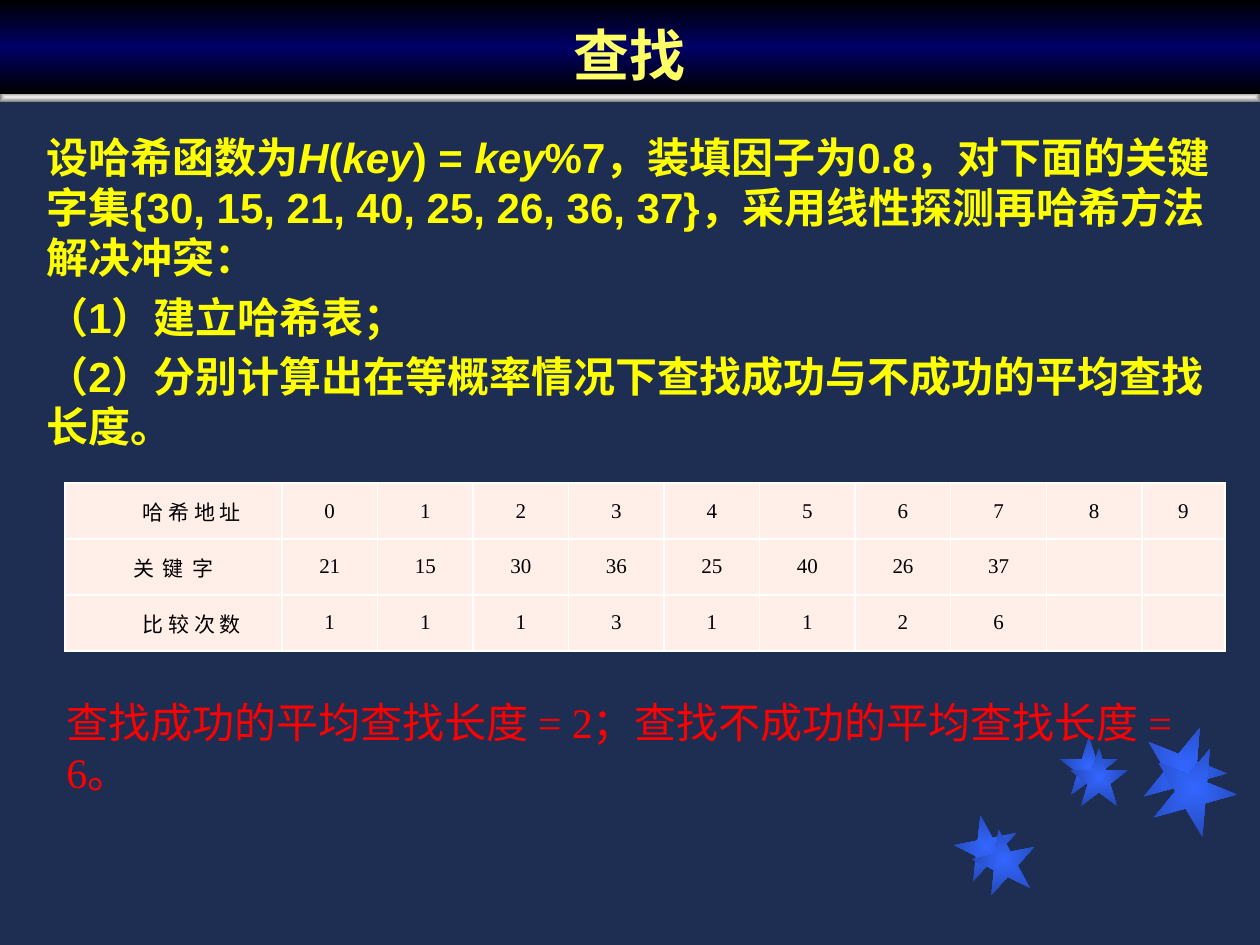
from lxml.etree import SubElement
from pptx import Presentation
from pptx.dml.color import RGBColor
from pptx.enum.shapes import MSO_SHAPE as Shape
from pptx.enum.text import MSO_ANCHOR as Anchor, PP_ALIGN as Align
from pptx.oxml.ns import qn
from pptx.util import Emu, Pt

CJK = "Noto Sans CJK SC"
SERIF = "Times New Roman"
STAR_STOPS = [(0, "3366FF"), (100, "2449B6")]
BAR_STOPS = [(0, "EDEDED"), (100, "808080")]
TITLE_STOPS = [(0, "000000"), (50, "000066"), (100, "000000")]


def px(length):
    return Emu(round(length * 914400 / 126))


def color(code):
    return RGBColor.from_string(code)


def add_run(paragraph, text, font, size, code, bold=False, italic=False):
    run = paragraph.add_run()
    run.text = text
    run.font.name = font
    run.font.size = Pt(size)
    run.font.bold = bold
    run.font.italic = italic
    run.font.color.rgb = color(code)
    SubElement(run.font._element, qn("a:ea"), typeface=CJK)
    return run


def add_gradient_shape(shapes, kind, box, stops, angle=None):
    shape = shapes.add_shape(kind, *map(px, box))
    shape.shadow.inherit = False
    shape.line.fill.background()
    geometry = shape._element.spPr.find(qn("a:prstGeom"))
    gradient = SubElement(shape._element.spPr, qn("a:gradFill"), rotWithShape="1")
    geometry.addnext(gradient)
    stop_list = SubElement(gradient, qn("a:gsLst"))
    for position, code in stops:
        stop = SubElement(stop_list, qn("a:gs"), pos=str(position * 1000))
        SubElement(stop, qn("a:srgbClr"), val=code)
    if angle is None:
        spread = SubElement(gradient, qn("a:path"), path="rect")
        SubElement(spread, qn("a:fillToRect"), l="50000", t="50000", r="50000", b="50000")
    else:
        SubElement(gradient, qn("a:lin"), ang=str(angle * 60000), scaled="0")
    return shape


def add_text_box(slide, box):
    frame = slide.shapes.add_textbox(*map(px, box)).text_frame
    frame.word_wrap = True
    return frame


def add_stars(slide, left, top):
    stars = slide.shapes.add_group_shape().shapes
    pairs = [(0, 90, 63, -11, 18, 14), (105, 12, 58, 0, 10, 11), (187, 0, 84, 22, 10, 21)]
    for layer in (0, 1):
        for x, y, size, turn, dx, dy in pairs:
            box = (left + x + layer * dx, top + y + layer * dy, size, size)
            star = add_gradient_shape(stars, Shape.STAR_5_POINT, box, STAR_STOPS)
            star.rotation = turn


def add_header(slide, left, top, width, height):
    bar_box = (left, top + height - 2, width, 10)
    add_gradient_shape(slide.shapes, Shape.RECTANGLE, bar_box, BAR_STOPS)
    banner = add_gradient_shape(
        slide.shapes, Shape.RECTANGLE, (left, top, width, height), TITLE_STOPS, 90
    )
    frame = banner.text_frame
    frame.vertical_anchor = Anchor.BOTTOM
    heading = frame.paragraphs[0]
    heading.alignment = Align.CENTER
    add_run(heading, "查找", CJK, 32, "FFFF66", bold=True)


def add_question(slide, box):
    formula = [
        ("设哈希函数为", False),
        ("H", True),
        ("(", False),
        ("key", True),
        (") = ", False),
        ("key", True),
        ("%7，装填因子为0.8，对下面的关键字集{30, 15, 21, 40, 25, 26, 36, 37}，"
         "采用线性探测再哈希方法解决冲突：", False),
    ]
    tasks = ["（1）建立哈希表；", "（2）分别计算出在等概率情况下查找成功与不成功的平均查找长度。"]
    frame = add_text_box(slide, box)
    for index, parts in enumerate([formula] + [[(task, False)] for task in tasks]):
        paragraph = frame.add_paragraph() if index else frame.paragraphs[0]
        paragraph.space_before = Pt(5)
        for text, italic in parts:
            add_run(paragraph, text, "Arial", 24, "FFFF00", bold=True, italic=italic)


def add_borders(cell):
    properties = cell._tc.get_or_add_tcPr()
    for index, side in enumerate(("a:lnL", "a:lnR", "a:lnT", "a:lnB")):
        line = SubElement(properties, qn(side), w=str(Pt(1)))
        properties.insert(index, line)
        fill = SubElement(line, qn("a:solidFill"))
        SubElement(fill, qn("a:srgbClr"), val="FFFFFF")


def add_hash_table(slide, left, top, width, height):
    rows = [
        ("哈 希 地 址", 37, 0, range(10)),
        ("关 键 字", 0, 110, [21, 15, 30, 36, 25, 40, 26, 37]),
        ("比 较 次 数", 37, 0, [1, 1, 1, 3, 1, 1, 2, 6]),
    ]
    label_width, last_width = 217, 83
    middle_width = (width - label_width - last_width) / 9
    box = map(px, (left, top, width, height))
    table = slide.shapes.add_table(len(rows), 11, *box).table
    for column, size in zip(table.columns, [label_width] + [middle_width] * 9 + [last_width]):
        column.width = px(size)
    for r, (label, indent, tracking, values) in enumerate(rows):
        table.rows[r].height = px(height / len(rows))
        texts = [label] + [str(value) for value in values]
        for c in range(11):
            cell = table.cell(r, c)
            cell.fill.solid()
            cell.fill.fore_color.rgb = color("FFEFE8")
            add_borders(cell)
            cell.vertical_anchor = Anchor.MIDDLE
            cell.margin_left = cell.margin_right = px(9)
            cell.margin_top = cell.margin_bottom = 0
            if c >= len(texts):
                continue
            paragraph = cell.text_frame.paragraphs[0]
            paragraph.alignment = Align.CENTER
            paragraph.space_before = paragraph.space_after = Pt(2 if c else 1)
            run = add_run(paragraph, texts[c], SERIF, 12, "000000")
            if c == 0:
                properties = paragraph._p.get_or_add_pPr()
                properties.set("marL", "0")
                properties.set("indent", str(px(indent)))
                run.font._element.set("spc", str(tracking))


def add_answer(slide, box):
    answer = add_text_box(slide, box).paragraphs[0]
    add_run(answer, "查找成功的平均查找长度 = 2；查找不成功的平均查找长度 = 6。", SERIF, 24, "FF0000")


def main():
    deck = Presentation()
    deck.slide_width, deck.slide_height = px(1260), px(945)
    slide = deck.slides.add_slide(deck.slide_layouts[6])
    slide.background.fill.solid()
    slide.background.fill.fore_color.rgb = color("1E2E53")
    add_stars(slide, 955, 725)
    add_header(slide, 0, 0, 1260, 94)
    add_question(slide, (34, 125, 1192, 318))
    add_answer(slide, (54, 690, 1170, 64))
    add_hash_table(slide, 65, 483, 1160, 168)
    deck.save("out.pptx")


if __name__ == "__main__":
    main()
